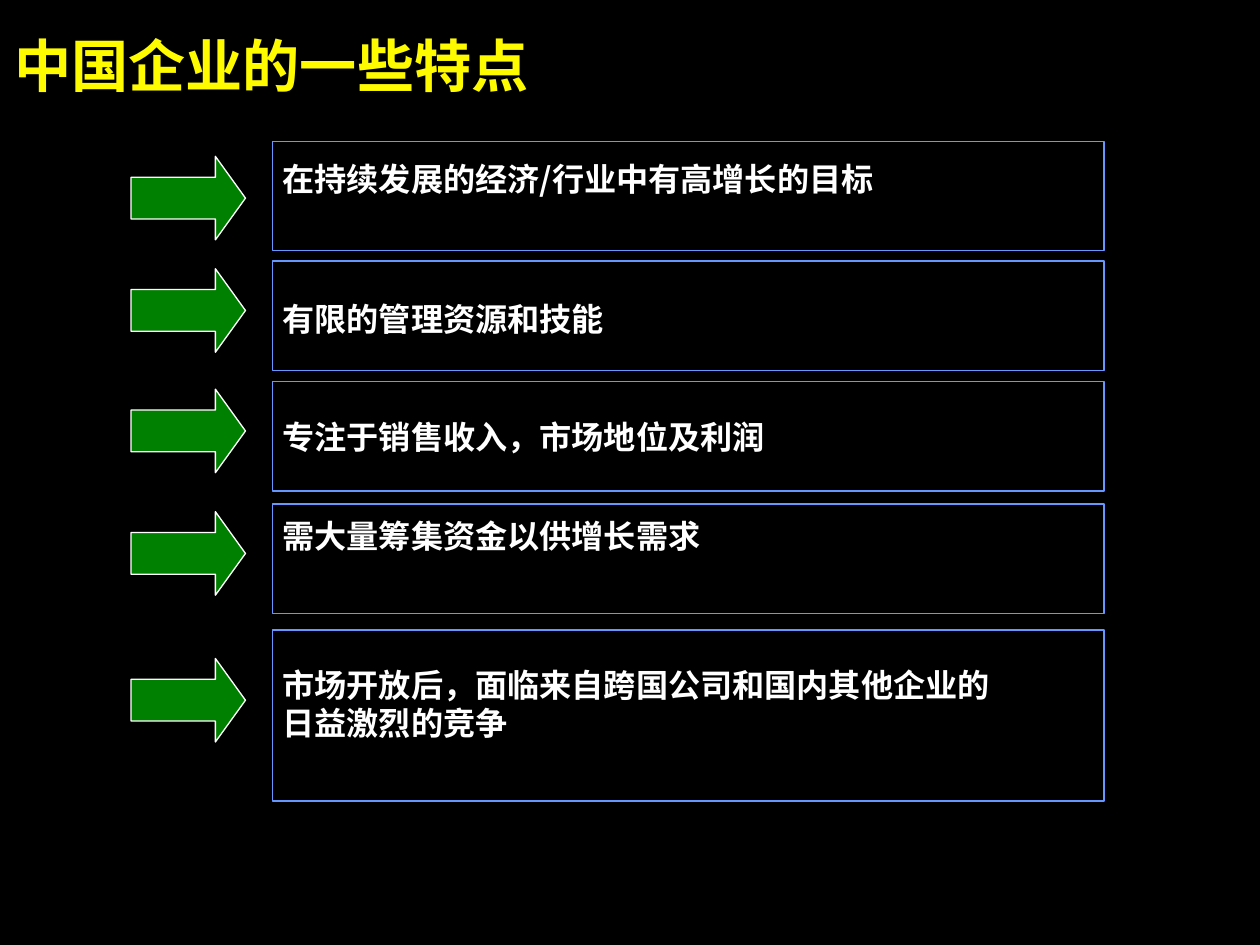
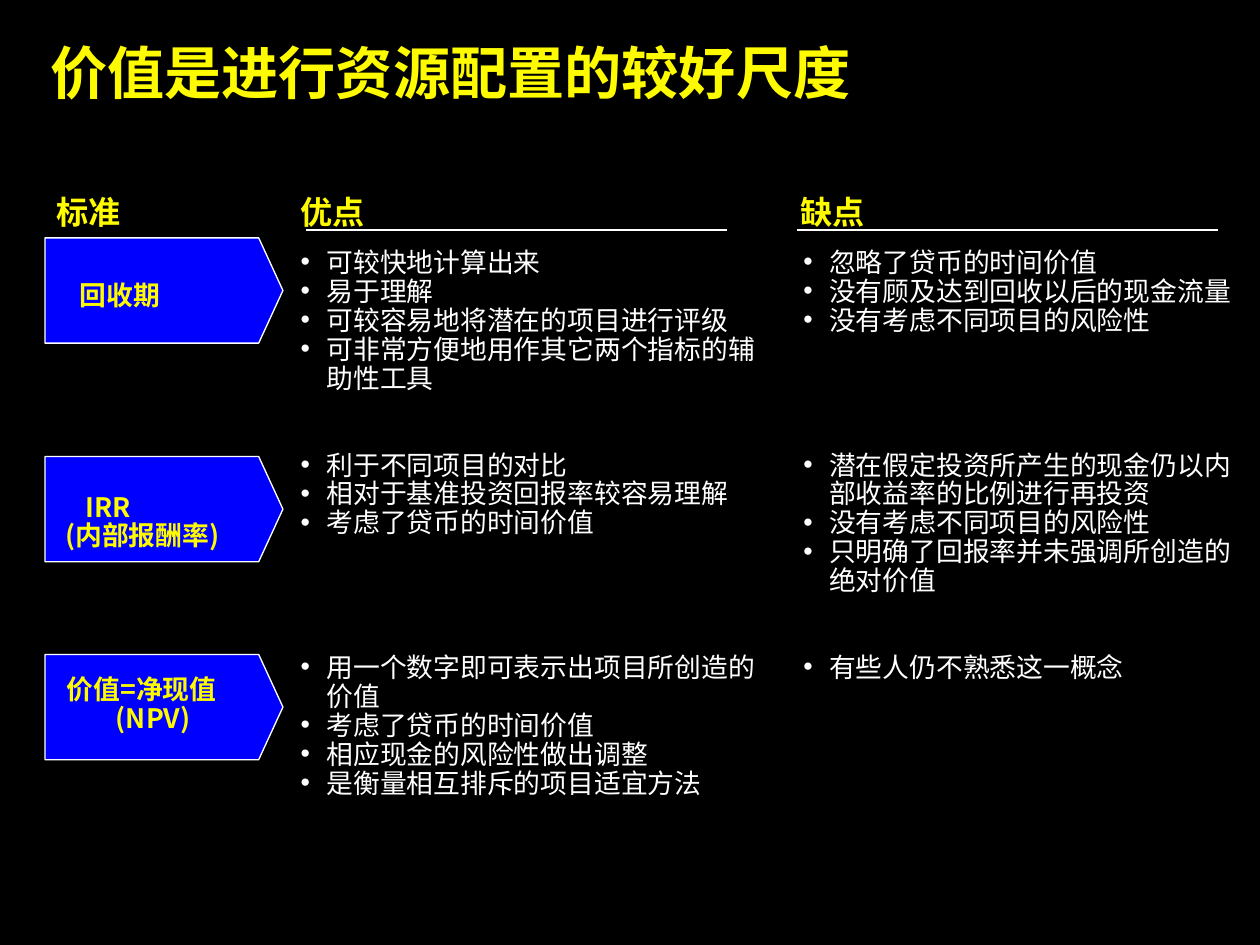
from lxml.etree import SubElement
from pptx import Presentation
from pptx.dml.color import RGBColor
from pptx.enum.shapes import MSO_CONNECTOR, MSO_SHAPE
from pptx.enum.text import MSO_ANCHOR, PP_ALIGN
from pptx.oxml.ns import qn
from pptx.util import Cm, Pt

COLORS = {
    "back": "000000",
    "accent": "FEFB00",
    "text": "FFFFFF",
    "frame": "6598FF",
    "arrow": "008000",
    "label": "0000FE",
}
FONT = "Noto Sans CJK SC"

TRAITS = [
    (2.79, 2.16, 0.36, 0.3, "在持续发展的经济/行业中有高增长的目标"),
    (5.16, 2.16, 0.75, 0.15, "有限的管理资源和技能"),
    (7.54, 2.16, 0.71, 0.15, "专注于销售收入，市场地位及利润"),
    (9.96, 2.16, 0.24, 0.15, "需大量筹集资金以供增长需求"),
    (12.45, 3.38, 0.69, 0.56, "市场开放后，面临来自跨国公司和国内其他企业的日益激烈的竞争"),
]

HEADERS = [(0.86, "标准"), (5.69, "优点"), (15.57, "缺点")]
RULES = [6.05, 15.75]
CRITERIA = [
    {
        "top": 4.7,
        "inset": 0.87,
        "label": [(0.69, "回收期")],
        "pros": ["可较快地计算出来", "易于理解", "可较容易地将潜在的项目进行评级",
                 "可非常方便地用作其它两个指标的辅助性工具"],
        "cons": ["忽略了贷币的时间价值", "没有顾及达到回收以后的现金流量",
                 "没有考虑不同项目的风险性"],
    },
    {
        "top": 9.02,
        "inset": 0.73,
        "label": [(0.8, "IRR"), (0.4, "(内部报酬率)")],
        "pros": ["利于不同项目的对比", "相对于基准投资回报率较容易理解", "考虑了贷币的时间价值"],
        "cons": ["潜在假定投资所产生的现金仍以内部收益率的比例进行再投资",
                 "没有考虑不同项目的风险性", "只明确了回报率并未强调所创造的绝对价值"],
    },
    {
        "top": 12.93,
        "inset": 0.43,
        "label": [(0.43, "价值=净现值"), (1.4, "(NPV)")],
        "pros": ["用一个数字即可表示出项目所创造的价值", "考虑了贷币的时间价值",
                 "相应现金的风险性做出调整", "是衡量相互排斥的项目适宜方法"],
        "cons": ["有些人仍不熟悉这一概念"],
    },
]


def rgb(name):
    return RGBColor.from_string(COLORS[name])


def add_run(p, text, size, color, bold=True):
    r = p.add_run()
    r.text = text
    r.font.size = Pt(size)
    r.font.bold = bold
    r.font.color.rgb = rgb(color)
    r.font.name = FONT
    SubElement(r.font._element, qn("a:ea")).set("typeface", FONT)


def set_frame(sp, insets, anchor=MSO_ANCHOR.TOP):
    tf = sp.text_frame
    tf.word_wrap = True
    tf.vertical_anchor = anchor
    tf.margin_left, tf.margin_top, tf.margin_right, tf.margin_bottom = map(Cm, insets)
    return tf


def next_paragraph(tf, index):
    p = tf.add_paragraph() if index else tf.paragraphs[0]
    p.alignment = PP_ALIGN.LEFT
    return p


def indent(p, left, first=0):
    pPr = p._p.get_or_add_pPr()
    pPr.set("marL", str(Cm(left)))
    pPr.set("indent", str(Cm(first)))
    return pPr


def add_text_box(s, left, top, width, height, insets, anchor=MSO_ANCHOR.TOP):
    sp = s.shapes.add_textbox(Cm(left), Cm(top), Cm(width), Cm(height))
    return set_frame(sp, insets, anchor)


def add_block(s, kind, left, top, width, height, fill, line):
    sp = s.shapes.add_shape(kind, Cm(left), Cm(top), Cm(width), Cm(height))
    sp.shadow.inherit = False
    sp.fill.solid()
    sp.fill.fore_color.rgb = rgb(fill)
    sp.line.color.rgb = rgb(line)
    sp.line.width = Pt(0.75)
    return sp


def add_slide(prs, title, left, top):
    s = prs.slides.add_slide(prs.slide_layouts[6])
    s.background.fill.solid()
    s.background.fill.fore_color.rgb = rgb("back")
    tf = add_text_box(s, left, top, 23, 1.35, (0, 0, 0, 0), MSO_ANCHOR.MIDDLE)
    add_run(next_paragraph(tf, 0), title, 32, "accent")
    return s


def add_trait(s, left, top, height, inset, arrow_drop, text):
    arrow = add_block(s, MSO_SHAPE.RIGHT_ARROW, left, top + arrow_drop, 2.26, 1.65,
                      "arrow", "text")
    arrow.adjustments[1] = 0.36
    box = add_block(s, MSO_SHAPE.RECTANGLE, left + 2.79, top, 16.43, height,
                    "back", "frame")
    tf = set_frame(box, (0.2, inset, 1.88, 0))
    add_run(next_paragraph(tf, 0), text, 18, "text")


def add_header(s, left, top, text):
    tf = add_text_box(s, left, top, 4.6, 0.97, (0.25, 0.13, 0.25, 0.13))
    p = next_paragraph(tf, 0)
    p.line_spacing = Pt(20.1)
    add_run(p, text, 18, "accent")


def add_rule(s, left, top, width):
    line = s.shapes.add_connector(MSO_CONNECTOR.STRAIGHT, Cm(left), Cm(top),
                                  Cm(left + width), Cm(top))
    line.line.color.rgb = rgb("text")
    line.line.width = Pt(1)
    SubElement(line._element.spPr, qn("a:effectLst"))


def add_label(s, left, top, inset, lines):
    sp = add_block(s, MSO_SHAPE.PENTAGON, left, top, 4.7, 2.08, "label", "text")
    sp.adjustments[0] = 0.23
    tf = set_frame(sp, (0, inset, 0, 0))
    for i, (start, text) in enumerate(lines):
        p = next_paragraph(tf, i)
        indent(p, start)
        p.line_spacing = Pt(16.2)
        add_run(p, text, 15, "accent")


def add_bullets(s, left, top, width, items):
    tf = add_text_box(s, left, top, width, 3.2, (0.25, 0.13, 0.25, 0.13))
    for i, text in enumerate(items):
        p = next_paragraph(tf, i)
        pPr = indent(p, 0.51, -0.51)
        color = SubElement(pPr, qn("a:buClr"))
        SubElement(color, qn("a:srgbClr")).set("val", COLORS["text"])
        SubElement(pPr, qn("a:buFont")).set("typeface", "Arial")
        SubElement(pPr, qn("a:buChar")).set("char", "•")
        p.line_spacing = Pt(16.2)
        add_run(p, text, 15, "text", bold=False)


def build_traits(prs):
    s = add_slide(prs, "中国企业的一些特点", 0.28, 0.61)
    for top, height, inset, arrow_drop, text in TRAITS:
        add_trait(s, 2.59, top, height, inset, arrow_drop, text)


def build_criteria(prs):
    s = add_slide(prs, "价值是进行资源配置的较好尺度", 0.99, 0.74)
    for left, text in HEADERS:
        add_header(s, left, 3.73, text)
    for left in RULES:
        add_rule(s, left, 4.55, 8.31)
    for i, row in enumerate(CRITERIA):
        list_top = 4.79 + 4 * i
        add_label(s, 0.89, row["top"], row["inset"], row["label"])
        add_bullets(s, 5.69, list_top, 9.86, row["pros"])
        add_bullets(s, 15.62, list_top, 9.04, row["cons"])


def main():
    prs = Presentation()
    prs.slide_width, prs.slide_height = Cm(24.89), Cm(18.67)
    build_traits(prs)
    build_criteria(prs)
    prs.save("out.pptx")


if __name__ == "__main__":
    main()
